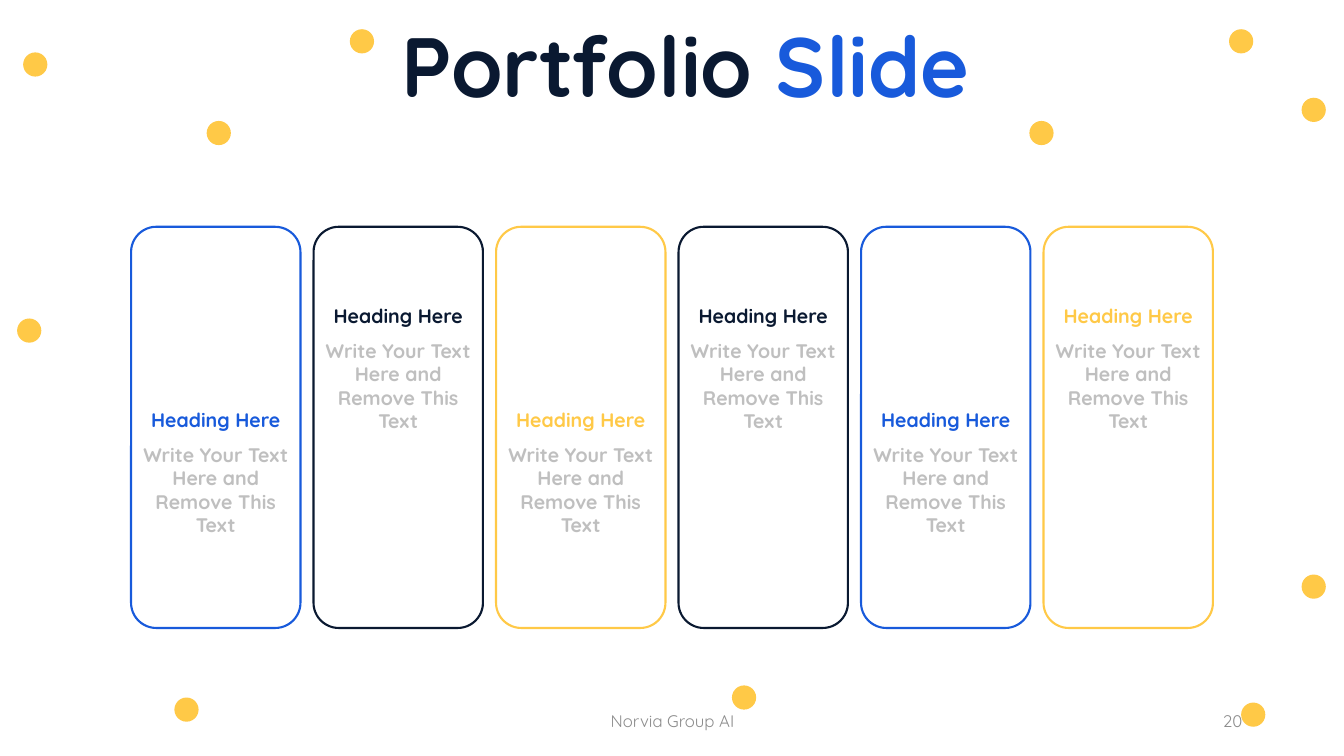
"""Build a portfolio slide with six outlined cards and scattered dots."""
from pptx import Presentation
from pptx.dml.color import RGBColor
from pptx.enum.shapes import MSO_SHAPE
from pptx.enum.text import MSO_ANCHOR, PP_ALIGN
from pptx.util import Inches, Pt

FONT = "Quicksand"
NAVY, BLUE, YELLOW = "0A1931", "185ADB", "FFC947"
SILVER, GREY = "BFBFBF", "8C8C8C"

TITLE = [("Portfolio", NAVY), (" Slide", BLUE)]
HEADING = "Heading Here"
BODY = "Write Your Text Here and Remove This Text"
FOOTER, PAGE = "Norvia Group AI", "20"

CARD_COLORS = [BLUE, NAVY, YELLOW, NAVY, BLUE, YELLOW]
CARD_LEFT, CARD_TOP, CARD_W, CARD_H = 1.3, 2.25, 1.68, 3.98
CARD_PITCH, CARD_RADIUS = 1.81, 0.25
HEADING_TOPS = [4, 2.97]

DOT_SIZE = 0.24
DOT_CENTERS = [
    (13.03, 1.09), (12.31, 0.41), (13.03, 5.82), (2.17, 1.32),
    (3.59, 0.41), (0.35, 0.64), (1.85, 7.04), (0.29, 3.28),
    (7.38, 6.92), (12.43, 7.09), (10.33, 1.32),
]


def rgb(color):
    return RGBColor.from_string(color)


def add_shape(kind, x, y, w, h):
    sp = slide.shapes.add_shape(kind, Inches(x), Inches(y), Inches(w), Inches(h))
    sp.shadow.inherit = False
    return sp


def add_text(x, y, w, h, runs, size, bold=True, align=PP_ALIGN.CENTER,
             anchor=MSO_ANCHOR.TOP, wrap=True):
    tf = slide.shapes.add_textbox(Inches(x), Inches(y), Inches(w), Inches(h)).text_frame
    tf.word_wrap = wrap
    tf.vertical_anchor = anchor
    p = tf.paragraphs[0]
    p.alignment = align
    p.font.name, p.font.size, p.font.bold = FONT, Pt(size), bold
    for text, color in runs:
        r = p.add_run()
        r.text = text
        r.font.color.rgb = rgb(color)


prs = Presentation()
prs.slide_width, prs.slide_height = Inches(13.33), Inches(7.5)
slide = prs.slides.add_slide(prs.slide_layouts[6])

for cx, cy in DOT_CENTERS:
    dot = add_shape(MSO_SHAPE.OVAL, cx - DOT_SIZE / 2, cy - DOT_SIZE / 2, DOT_SIZE, DOT_SIZE)
    dot.fill.solid()
    dot.fill.fore_color.rgb = rgb(YELLOW)
    dot.line.fill.background()

for i, color in enumerate(CARD_COLORS):
    x = CARD_LEFT + i * CARD_PITCH
    y = HEADING_TOPS[i % 2]
    card = add_shape(MSO_SHAPE.ROUNDED_RECTANGLE, x, CARD_TOP, CARD_W, CARD_H)
    card.adjustments[0] = CARD_RADIUS / CARD_W
    card.fill.background()
    card.line.color.rgb = rgb(color)
    card.line.width = Pt(1.5)
    add_text(x, y, CARD_W, 0.34, [(HEADING, color)], 14)
    add_text(x, y + 0.34, CARD_W, 1.04, [(BODY, SILVER)], 14)

add_text(3.81, 0.08, 5.98, 1.11, TITLE, 60, wrap=False)
add_text(4.42, 6.95, 4.5, 0.4, [(FOOTER, GREY)], 12, False, anchor=MSO_ANCHOR.MIDDLE)
add_text(9.42, 6.95, 3, 0.4, [(PAGE, GREY)], 12, False, PP_ALIGN.RIGHT, MSO_ANCHOR.MIDDLE)

prs.save("out.pptx")
